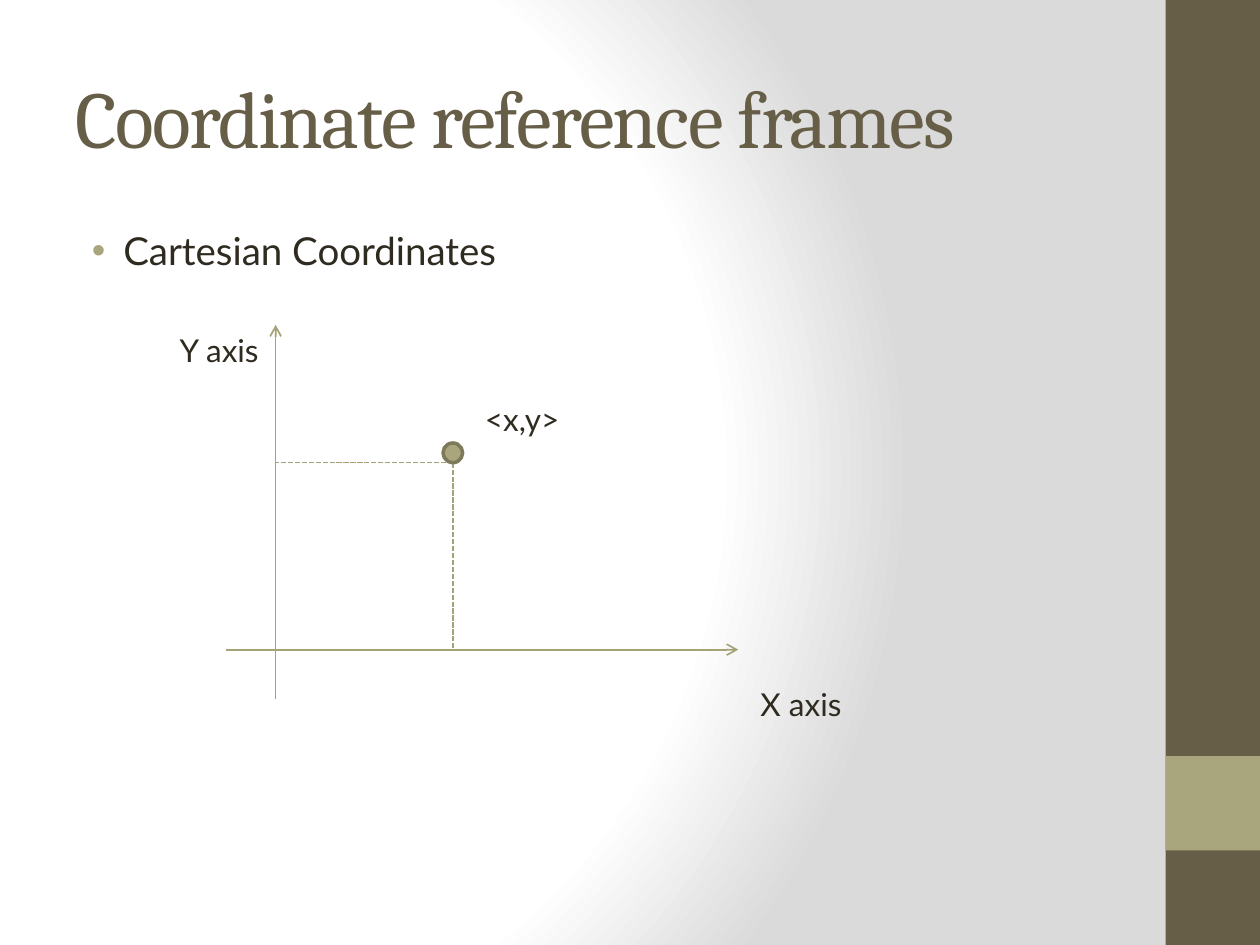
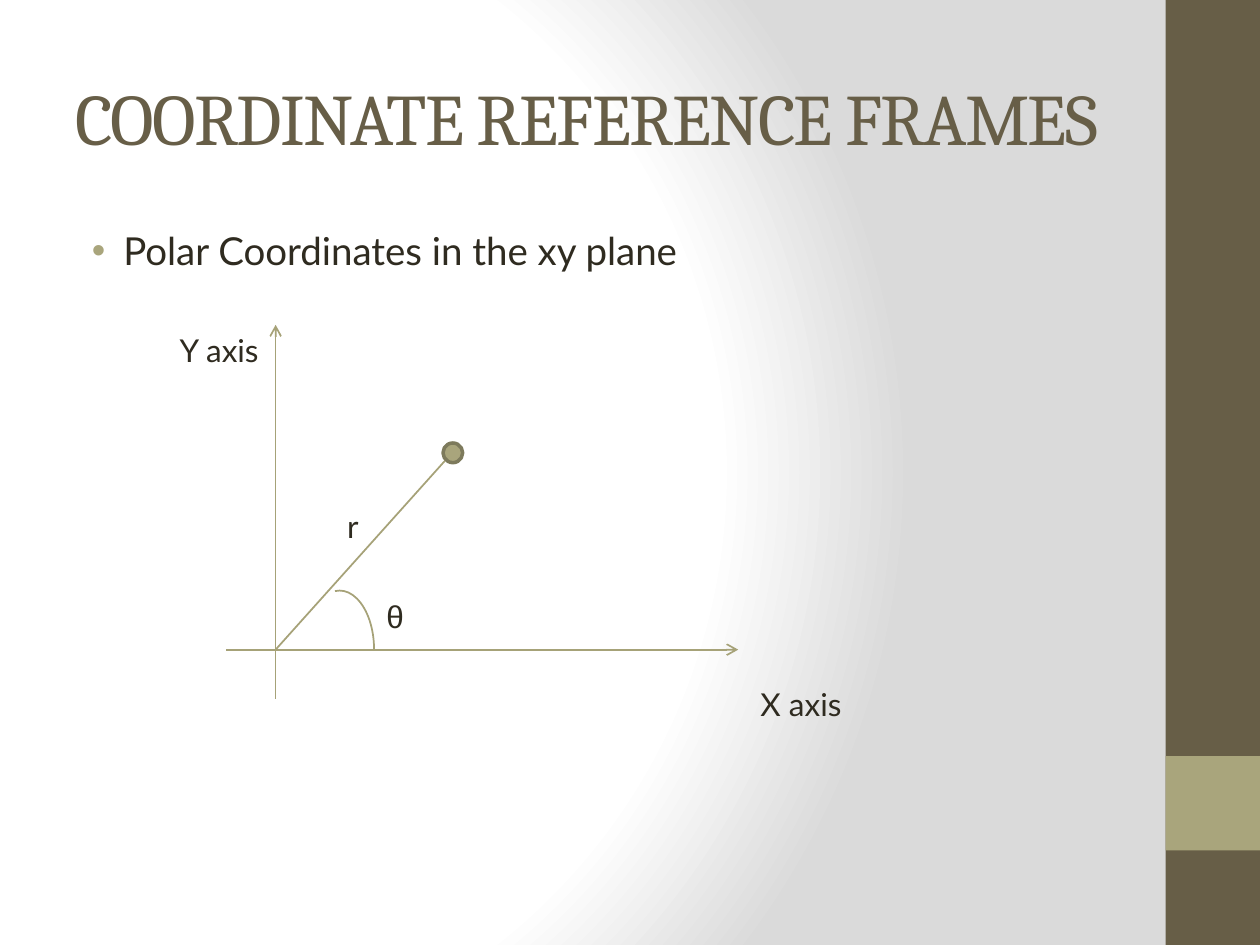
from lxml import etree
from pptx import Presentation
from pptx.dml.color import RGBColor
from pptx.enum.dml import MSO_LINE
from pptx.enum.shapes import MSO_CONNECTOR, MSO_SHAPE
from pptx.enum.text import MSO_ANCHOR
from pptx.oxml import parse_xml
from pptx.oxml.ns import qn
from pptx.util import Inches, Pt

STRAIGHT = MSO_CONNECTOR.STRAIGHT
RECTANGLE, OVAL, ARC = MSO_SHAPE.RECTANGLE, MSO_SHAPE.OVAL, MSO_SHAPE.ARC
MIDDLE, TOP = MSO_ANCHOR.MIDDLE, MSO_ANCHOR.TOP
DASH = MSO_LINE.SQUARE_DOT

color = RGBColor.from_string
BROWN, SAGE, RULE, RIM, INK = "675E47", "A9A57C", "A6A278", "7D7A5C", "2F2B20"
HEADING, BODY, SYMBOL = "Cambria", "Lato", "Arial"

prs = Presentation()
prs.slide_width, prs.slide_height = Inches(10), Inches(7.5)
COLUMNS, ROWS = 128, 96
CELL = prs.slide_width / COLUMNS


def grid(*cells):
    return [round(cell * CELL) for cell in cells]


def add_text(slide, box, words, size, font=BODY, ink=INK, anchor=TOP):
    frame = slide.shapes.add_textbox(*grid(*box)).text_frame
    frame.word_wrap = True
    frame.vertical_anchor = anchor
    paragraph = frame.paragraphs[0]
    paragraph.text = words
    paragraph.font.size = Pt(size)
    paragraph.font.name = font
    paragraph.font.color.rgb = color(ink)
    return paragraph


master = prs.slide_master
master.background.fill.solid()
backdrop = master.element.xpath("p:cSld/p:bg/p:bgPr")[0]
backdrop.replace(backdrop[0], parse_xml(
    '<a:gradFill xmlns:a="http://schemas.openxmlformats.org/drawingml/2006/main" rotWithShape="1"><a:gsLst>'
    + "".join(f'<a:gs pos="{share * 1000}"><a:srgbClr val="{tone}"/></a:gs>'
              for share, tone in [(0, "FFFFFF"), (75, "FFFFFF"), (100, "DADADA")])
    + '</a:gsLst><a:path path="circle">'
    '<a:fillToRect l="20000" t="50000" r="100000" b="50000"/></a:path></a:gradFill>'))

BAND = 9.6
MARGIN, TEXT_WIDTH = 6.4, 106.6
ORIGIN_X, ORIGIN_Y = 28, 66
POINT_X, POINT_Y = 46, 47
LABEL_HEIGHT = 5.12

x_axis = (ORIGIN_X - 5, ORIGIN_Y, 75, ORIGIN_Y, None, True)
y_axis = (ORIGIN_X, ORIGIN_Y + 5, ORIGIN_X, 33, None, True)
drop_to_x = (POINT_X, POINT_Y, POINT_X, ORIGIN_Y, DASH, False)
drop_to_y = (POINT_X, POINT_Y, ORIGIN_X, POINT_Y, DASH, False)
radius = (ORIGIN_X, ORIGIN_Y, 45.3, 46.7, None, False)
axis_labels = [("X axis", 76, 69, 14, BODY), ("Y axis", 17, 33, 14, BODY)]

frames = [
    ("Coordinate reference frames", 46, "Cartesian Coordinates",
     [drop_to_x, drop_to_y], [("<x,y>", 48, 40, 16, BODY)], False),
    ("COORDINATE REFERENCE FRAMES", 41.4, "Polar Coordinates in the xy plane",
     [radius], [("r", 34, 50.9, 5, BODY), ("θ", 38, 60, 7, SYMBOL)], True),
]

for title, title_size, topic, guides, labels, has_angle in frames:
    slide = prs.slides.add_slide(prs.slide_layouts[6])

    for top, height, tone in [(0, ROWS, BROWN), (0.8 * ROWS, BAND, SAGE)]:
        band = slide.shapes.add_shape(RECTANGLE, *grid(COLUMNS - BAND, top, BAND, height))
        band.shadow.inherit = False
        band.fill.solid()
        band.fill.fore_color.rgb = color(tone)
        band.line.fill.background()

    heading = add_text(slide, (MARGIN, 3.84, TEXT_WIDTH, 16), title, title_size, HEADING, BROWN, MIDDLE)
    heading.runs[0].font._element.set("spc", "-100")

    bullet = add_text(slide, (MARGIN, 22.4, TEXT_WIDTH, 67.2), topic, 22)
    bullet.space_before = Pt(4.4)
    indents = bullet._p.get_or_add_pPr()
    indents.set("marL", str(Inches(0.38)))
    indents.set("indent", str(Inches(-0.25)))
    tint = etree.SubElement(indents, qn("a:buClr"))
    etree.SubElement(tint, qn("a:srgbClr"), val=SAGE)
    etree.SubElement(indents, qn("a:buFont"), typeface=SYMBOL)
    etree.SubElement(indents, qn("a:buChar"), char="•")

    for x1, y1, x2, y2, dash, arrow in [x_axis, y_axis] + guides:
        ruled = slide.shapes.add_connector(STRAIGHT, *grid(x1, y1, x2, y2))
        ruled.line.color.rgb = color(RULE)
        ruled.line.width = Pt(1)
        if dash:
            ruled.line.dash_style = dash
        if arrow:
            etree.SubElement(ruled.line._get_or_add_ln(), qn("a:tailEnd"), type="arrow")
        etree.SubElement(ruled._element.spPr, qn("a:effectLst"))

    point = slide.shapes.add_shape(OVAL, *grid(45, 45, 2, 2))
    point.shadow.inherit = False
    point.fill.solid()
    point.fill.fore_color.rgb = color(SAGE)
    point.line.color.rgb = color(RIM)
    point.line.width = Pt(2)

    if has_angle:
        angle = slide.shapes.add_shape(ARC, *grid(31, 60, 7, 12))
        angle.shadow.inherit = False
        angle.adjustments[0] = 159.29
        angle.adjustments[1] = 0
        angle.fill.background()
        angle.line.color.rgb = color(RULE)
        angle.line.width = Pt(1)

    for words, left, top, width, font in axis_labels + labels:
        add_text(slide, (left, top, width, LABEL_HEIGHT), words, 18, font)

prs.save("out.pptx")
